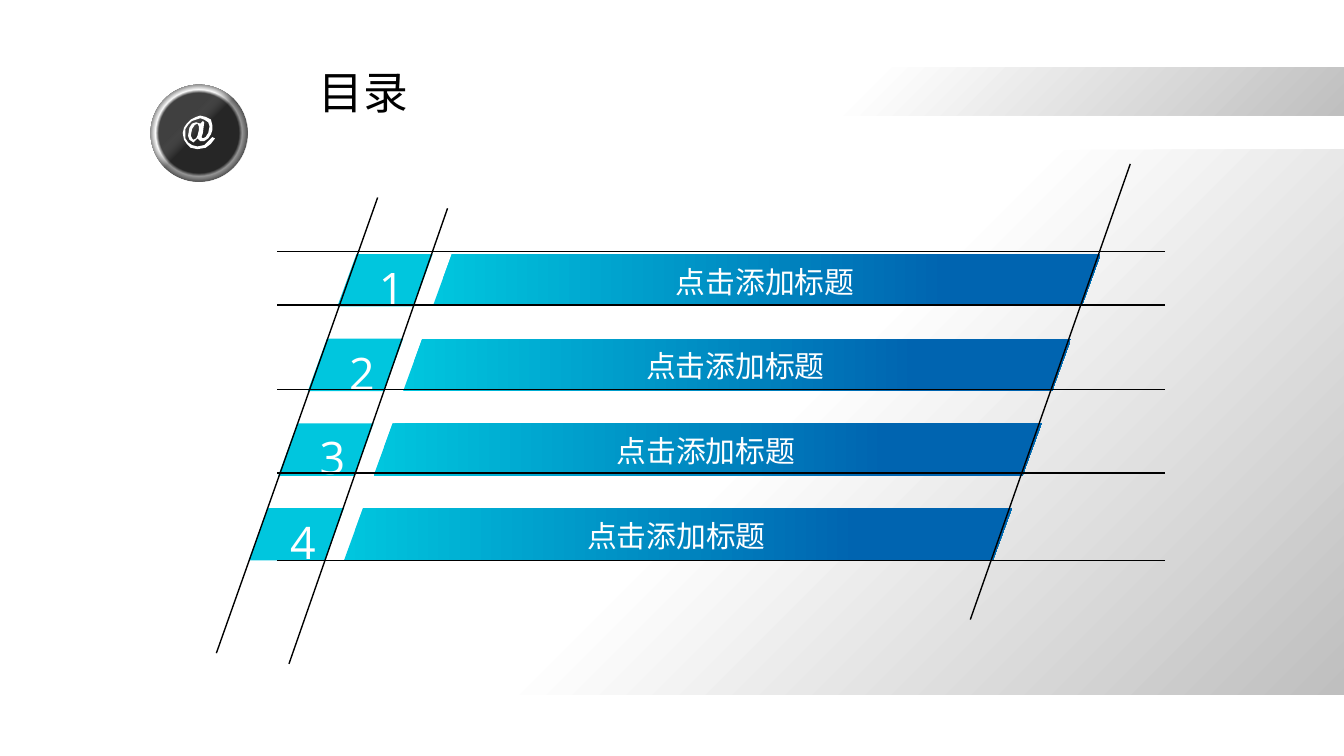
import math
from lxml import etree
from pptx import Presentation
from pptx import util as u
from pptx.dml.color import RGBColor
from pptx.enum import shapes, text
from pptx.oxml.ns import qn

inch = u.Inches
hues = {"white": "FFFFFF", "black": "000000", "grey": "BFBFBF", "rim": "808080",
        "dark": "404040", "cyan": "00C6DE", "blue": "0064B0"}


def shade(shape, stops, angle=None, focus=None):
    shape.shadow.inherit = False
    shape.line.fill.background()
    shape.fill.gradient()
    grad = shape._element.spPr.find(qn("a:gradFill"))
    for part in list(grad):
        grad.remove(part)
    stage = etree.SubElement(grad, qn("a:gsLst"))
    for pos, hue, alpha in stops:
        stop = etree.SubElement(stage, qn("a:gs"), pos=str(pos * 1000))
        tint = etree.SubElement(stop, qn("a:srgbClr"), val=hues[hue])
        if alpha < 100:
            etree.SubElement(tint, qn("a:alpha"), val=str(alpha * 1000))
    if focus is None:
        etree.SubElement(grad, qn("a:lin"), ang=str(angle * 60000), scaled="0")
    else:
        way = etree.SubElement(grad, qn("a:path"), path="circle")
        sides = {side: str(v * 1000) for side, v in zip("ltrb", focus)}
        etree.SubElement(way, qn("a:fillToRect"), **sides)


def write(box, words, size, face, hue):
    frame = box.text_frame
    frame.word_wrap = False
    frame.auto_size = text.MSO_AUTO_SIZE.SHAPE_TO_FIT_TEXT
    frame.vertical_anchor = text.MSO_ANCHOR.TOP
    para = frame.paragraphs[0]
    para.alignment = text.PP_ALIGN.LEFT
    run = para.add_run()
    run.text = words
    run.font.size = u.Pt(size)
    run.font.name = face
    run.font.color.rgb = RGBColor.from_string(hues[hue])
    etree.SubElement(run._r.get_or_add_rPr(), qn("a:ea"), typeface=face)


deck = Presentation()
deck.slide_width, deck.slide_height = inch(10), inch(10) * 9 // 16
slide = deck.slides.add_slide(deck.slide_layouts[5])
tree = slide.shapes
kinds = shapes.MSO_SHAPE
han, latin = "Noto Sans CJK SC", "Open Sans"

arc = [(1.48 + 0.84 * math.cos(math.radians(a)), 0.99 + 0.84 * math.sin(math.radians(a)))
       for a in range(172, 7, -6)]
band = [(1.83, 0.5), (10, 0.5), (10, 0.86), (2.06, 0.86), (2, 0.71), (1.83, 0.57)]
panel = [(0, 1.11), *arc, (10, 1.11), (10, 5.17), (0, 5.17)]
outer = [
    (1.58, .93), (1.58, .97), (1.57, 1), (1.55, 1.03), (1.52, 1.05), (1.49, 1.05),
    (1.47, 1.03), (1.44, 1.06), (1.41, 1.04), (1.4, 1.01), (1.41, .95), (1.43, .92),
    (1.46, .91), (1.49, .92), (1.51, .9), (1.52, .91), (1.51, .99), (1.5, 1.02),
    (1.51, 1.03), (1.53, 1.02), (1.55, .99), (1.56, .94), (1.55, .91), (1.52, .89),
    (1.49, .88), (1.46, .89), (1.43, .9), (1.4, .93), (1.38, .96), (1.38, .99),
    (1.38, 1.03), (1.4, 1.06), (1.43, 1.08), (1.47, 1.09), (1.52, 1.08), (1.55, 1.05),
    (1.58, 1.02), (1.6, 1.03), (1.57, 1.07), (1.53, 1.1), (1.47, 1.11), (1.42, 1.1),
    (1.39, 1.07), (1.37, 1.04), (1.36, .99), (1.37, .95), (1.39, .92), (1.42, .89),
    (1.46, .87), (1.49, .86), (1.53, .87), (1.57, .89)]
inner = [(1.47, .92), (1.45, .93), (1.43, .96), (1.42, 1.01), (1.43, 1.03), (1.44, 1.04),
         (1.46, 1.03), (1.47, 1.01), (1.48, .97), (1.48, .94)]

drawn = []
for loops in ([band], [panel], [outer, inner]):
    pen = None
    for loop in loops:
        spots = [(x * 1000, y * 1000) for x, y in loop]
        if pen is None:
            pen = tree.build_freeform(*spots[0], scale=914.4)
        else:
            pen.move_to(*spots[0])
        pen.add_line_segments(spots[1:], close=True)
    drawn.append(pen.convert_to_shape())
for shape in drawn[:2]:
    shade(shape, [(0, "white", 100), (55, "white", 100), (100, "grey", 100)], 45)

rings = [([(58, "dark", 100), (63, "white", 100), (72, "rim", 100)], (50, 50, 50, 50)),
         ([(50, "black", 40), (63, "rim", 0)], (100, 100, 0, 0))]
for stops, focus in rings:
    disc = tree.add_shape(kinds.OVAL, inch(1.12), inch(0.63), inch(0.72), inch(0.72))
    shade(disc, stops, focus=focus)

sign = drawn[2]
sign.shadow.inherit = False
sign.fill.solid()
sign.fill.fore_color.rgb = RGBColor.from_string(hues["white"])
sign.line.fill.background()
tree._spTree.append(sign._element)

title = tree.title
title.left, title.top, title.width, title.height = map(inch, (2.27, 0.43, 0.88, 0.51))
write(title, "目录", 24, han, "black")
tree._spTree.append(title._element)

for row in range(4):
    x, y = 2.51 - 0.22 * row, 1.89 + 0.63 * row
    for left, wide, end in ((x, 0.71, "cyan"), (x + 0.71, 4.97, "blue")):
        bar = tree.add_shape(kinds.PARALLELOGRAM, inch(left), inch(y), inch(wide), inch(0.39))
        bar.adjustments[0] = 0.365
        shade(bar, [(0, "cyan", 100), (77, end, 100)], 0)
        if end == "cyan":
            bar.fill.solid()
            bar.fill.fore_color.rgb = RGBColor.from_string(hues["cyan"])
    num = tree.add_textbox(inch(x + 0.21), inch(y), inch(0.4), inch(0.5))
    write(num, str(row + 1), 24, latin, "white")
    label = tree.add_textbox(inch(x + 2.42), inch(y + 0.02), inch(1.55), inch(0.37))
    write(label, "点击添加标题", 16, han, "white")

slants = [(3.33, 1.55, 2.15, 4.94), (2.81, 1.47, 1.61, 4.86), (8.41, 1.22, 7.22, 4.61)]
rules = [(8.67, y, 2.06, y) for y in (1.87, 2.27, 3.52, 4.17, 2.9)]
for ends in slants + rules:
    line = tree.add_connector(shapes.MSO_CONNECTOR.STRAIGHT, *map(inch, ends))
    line.line.color.rgb = RGBColor.from_string(hues["black"])
    line.line.width = u.Pt(0.75)
    etree.SubElement(line._element.spPr, qn("a:effectLst"))

deck.save("out.pptx")
